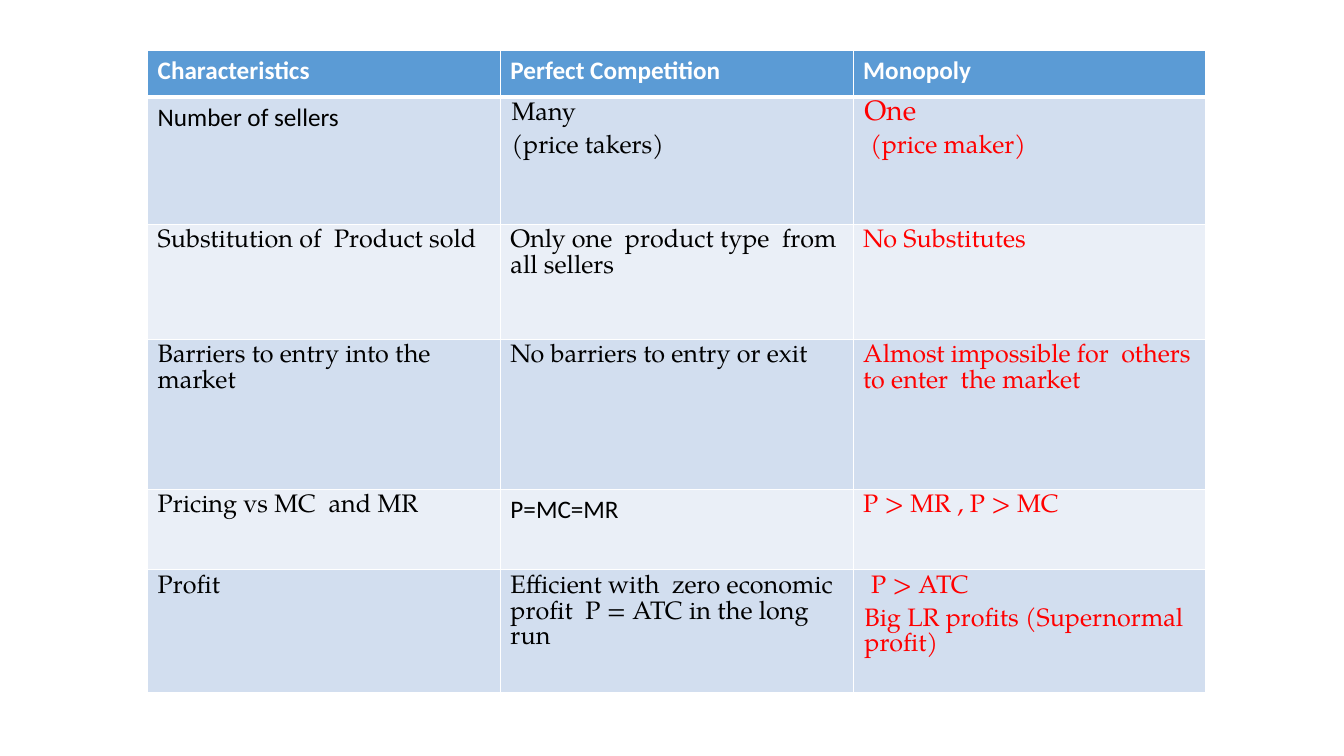
from dataclasses import dataclass

from lxml import etree
from pptx import Presentation
from pptx import util as u
from pptx.dml.color import RGBColor
from pptx.oxml.ns import qn


@dataclass(frozen=True)
class Theme:
    header: str = "5B9BD5"
    bands: tuple = ("D2DEEF", "EAEFF7")
    white: str = "FFFFFF"
    ink: str = "000000"
    accent: str = "FF0000"
    sans: str = "Calibri"
    serif: str = "TeX Gyre Pagella"
    size: float = 18
    large: float = 20
    leading: float = 18.3


THEME = Theme()
HEADINGS = ("Characteristics", "Perfect Competition", "Monopoly")
ROWS = (
    ("Number of sellers", "Many\n(price takers)", "One\n(price maker)"),
    ("Substitution of  Product sold", "Only one  product type  from all sellers",
     "No Substitutes"),
    ("Barriers to entry into the market", "No barriers to entry or exit",
     "Almost impossible for  others to enter  the market"),
    ("Pricing vs MC  and MR", "P=MC=MR", "P > MR , P > MC"),
    ("Profit", "Efficient with  zero economic profit  P = ATC in the long run",
     "P > ATC\nBig LR profits (Supernormal profit)"),
)
ROW_HEIGHTS = (1.17, 3.2, 2.9, 3.78, 2.03, 3.1)
SANS_TEXTS = HEADINGS + ("Number of sellers", "P=MC=MR")
LARGE_TEXTS = ("One",)
INDENTS = {"(price maker)": 0.18, "P > ATC": 0.2}
LINE_INDENT = 0.03
LINE_GAP = 5


def style_cell(cell, fill, bottom):
    """Draw white borders, the lower one of the given width, then fill."""
    tc_pr = cell._tc.get_or_add_tcPr()
    for side, width in (("L", 1), ("R", 1), ("T", 1), ("B", bottom)):
        ln = etree.SubElement(tc_pr, qn(f"a:ln{side}"), w=str(u.Pt(width)))
        solid = etree.SubElement(ln, qn("a:solidFill"))
        etree.SubElement(solid, qn("a:srgbClr"), val=THEME.white)
    cell.fill.solid()
    cell.fill.fore_color.rgb = RGBColor.from_string(fill)


def write_cell(cell, content, color, bold):
    """Write one paragraph per line of the content."""
    tf = cell.text_frame
    lines = content.split("\n")
    for i, line in enumerate(lines):
        p = tf.paragraphs[0] if i == 0 else tf.add_paragraph()
        sans = line in SANS_TEXTS
        if not sans:
            p.line_spacing = u.Pt(THEME.leading)
        if len(lines) > 1:
            indent = u.Cm(INDENTS.get(line, LINE_INDENT))
            p._p.get_or_add_pPr().set("marL", str(indent))
        if i:
            p.space_before = u.Pt(LINE_GAP)
        r = p.add_run()
        r.text = line
        formats = {
            "name": THEME.sans if sans else THEME.serif,
            "size": u.Pt(THEME.large if line in LARGE_TEXTS else THEME.size),
            "bold": bold,
        }
        for name, value in formats.items():
            setattr(r.font, name, value)
        r.font.color.rgb = RGBColor.from_string(color)


def add_comparison(s, left, top, width):
    """Place the market comparison table in the given box."""
    data = (HEADINGS,) + ROWS
    columns = len(HEADINGS)
    table = s.shapes.add_table(len(data), columns, left, top, width,
                               u.Cm(sum(ROW_HEIGHTS))).table
    for column in table.columns:
        column.width = width // columns
    for i, (texts, height) in enumerate(zip(data, ROW_HEIGHTS)):
        table.rows[i].height = u.Cm(height)
        is_header = i == 0
        fill = THEME.header if is_header else THEME.bands[(i - 1) % 2]
        for j, content in enumerate(texts):
            cell = table.cell(i, j)
            style_cell(cell, fill, 3 if is_header else 1)
            body = THEME.accent if j == columns - 1 else THEME.ink
            write_cell(cell, content, THEME.white if is_header else body, is_header)


def main():
    prs = Presentation()
    prs.slide_width, prs.slide_height = u.Cm(33.87), u.Cm(19.05)
    s = prs.slides.add_slide(prs.slide_layouts[6])
    add_comparison(s, u.Cm(3.72), u.Cm(1.28), u.Cm(26.67))
    prs.save("out.pptx")


if __name__ == "__main__":
    main()
